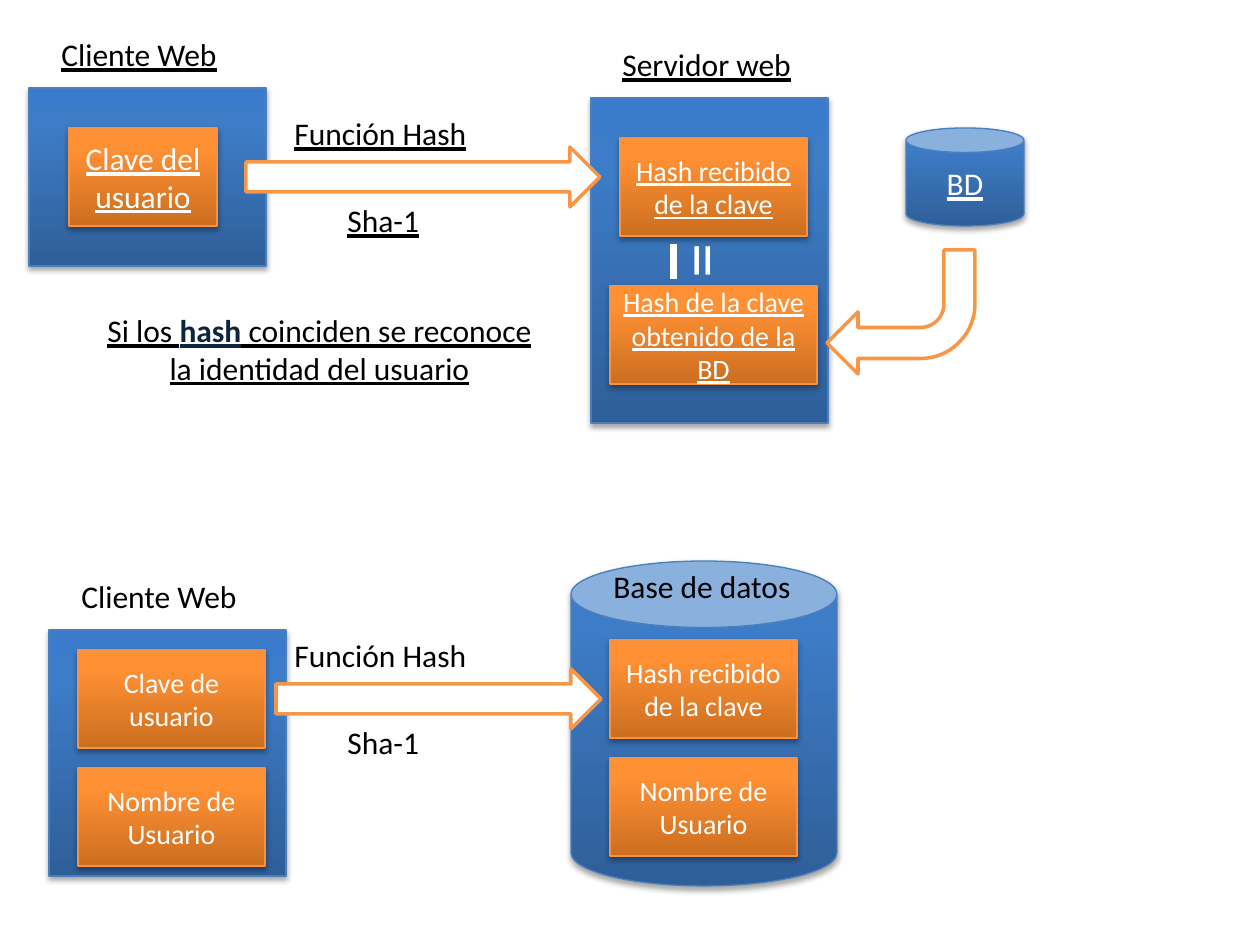
import copy
import pptx
import pptx.util
import pptx.dml.color
import pptx.enum.shapes
import pptx.enum.text
import pptx.oxml
import pptx.oxml.ns

PX = 914400 // 126
SHAPE = pptx.enum.shapes.MSO_SHAPE
ALIGN = pptx.enum.text.PP_ALIGN
FONT = "Calibri"
BLUE = (("2F5F99", "3D7CC7", "3A7CCB"), "4B7EBC")
ORANGE = (("CC6E20", "FF9034", "FF9136"), "F69240")
SHADOW = (
    '<a:outerShdw xmlns:a="http://schemas.openxmlformats.org/drawingml/2006/main" '
    'blurRad="40000" dist="23000" dir="5400000" rotWithShape="0">'
    '<a:srgbClr val="000000"><a:alpha val="35000"/></a:srgbClr></a:outerShdw>'
)


def color(value):
    return pptx.dml.color.RGBColor.from_string(value)


def box(*lengths):
    return [pptx.util.Emu(n * PX) for n in lengths]


def write(tf, text, size=18, fill="000000", underline=False, bold=False, align=None):
    """Add one run to the first paragraph."""
    p = tf.paragraphs[0]
    if align is not None:
        p.alignment = align
    r = p.add_run()
    r.text = text
    r.font.name = FONT
    r.font.size = pptx.util.Pt(size)
    r.font.color.rgb = color(fill)
    r.font.underline = underline
    r.font.bold = bold


def label(shapes, at, text="", wrap=False, rotation=0, **style):
    sp = shapes.add_textbox(*box(*at))
    sp.rotation = rotation
    tf = sp.text_frame
    tf.word_wrap = wrap
    tf.auto_size = pptx.enum.text.MSO_AUTO_SIZE.SHAPE_TO_FIT_TEXT
    if text:
        write(tf, text, **style)
    return tf


def gradient(fill, colors):
    """Fill from bottom to top with stops at 0, 80 and 100 percent."""
    fill.gradient()
    fill.gradient_angle = 90
    first = fill.gradient_stops[0]._gs
    first.addnext(copy.deepcopy(first))
    for stop, value, position in zip(fill.gradient_stops, colors, (0, 0.8, 1)):
        stop.color.rgb = color(value)
        stop.position = position


def block(shapes, kind, at, theme, text="", **style):
    """Shaded shape with a soft shadow and optional centred text."""
    sp = shapes.add_shape(kind, *box(*at))
    colors, edge = theme
    gradient(sp.fill, colors)
    sp.line.color.rgb = color(edge)
    sp.line.width = pptx.util.Pt(0.75)
    sp.shadow.inherit = False
    effects = sp._element.spPr.find(pptx.oxml.ns.qn("a:effectLst"))
    effects.append(pptx.oxml.parse_xml(SHADOW))
    if text:
        tf = sp.text_frame
        tf.word_wrap = True
        tf.vertical_anchor = pptx.enum.text.MSO_ANCHOR.MIDDLE
        write(tf, text, fill="FFFFFF", align=ALIGN.CENTER, **style)


def card(shapes, x, y, text, w=187, size=16, underline=False):
    block(shapes, SHAPE.RECTANGLE, (x, y, w, 98), ORANGE, text,
          size=size, underline=underline)


def arrow(shapes, kind, at, rotation=0, adjustments=()):
    sp = shapes.add_shape(kind, *box(*at))
    sp.rotation = rotation
    for i, value in enumerate(adjustments):
        sp.adjustments[i] = value
    sp.fill.solid()
    sp.fill.fore_color.rgb = color("FFFFFF")
    sp.line.color.rgb = color("F79646")
    sp.line.width = pptx.util.Pt(2)
    sp.shadow.inherit = False


def hash_labels(shapes, y, underline):
    label(shapes, (282, y, 199, 50), "Función Hash", underline=underline)
    label(shapes, (335, y + 87, 98, 50), "Sha-1", underline=underline)


def login(shapes):
    # Client
    client = shapes.add_group_shape().shapes
    block(client, SHAPE.RECTANGLE, (29, 88, 237, 178), BLUE)
    card(client, 69, 128, "Clave del usuario", w=148, size=18, underline=True)
    label(client, (49, 29, 183, 50), "Cliente Web", underline=True)
    hash_labels(shapes, 108, True)

    # Server
    server = shapes.add_group_shape().shapes
    block(server, SHAPE.RECTANGLE, (591, 98, 237, 325), BLUE)
    card(server, 620, 138, "Hash recibido de la clave", underline=True)
    label(server, (610, 39, 197, 50), "Servidor web", underline=True)
    card(shapes, 610, 286, "Hash de la clave obtenido de la BD", w=207, underline=True)

    # Database and comparison
    block(shapes, SHAPE.CAN, (906, 128, 118, 98), BLUE, "BD", underline=True)
    arrow(shapes, SHAPE.BENT_ARROW, (827, 250, 148, 124), 180, (0.25, 0.25, 0.25, 0.44))
    label(shapes, (678, 213, 60, 97), "=", rotation=90, size=40,
          fill="FFFFFF", underline=True)
    arrow(shapes, SHAPE.RIGHT_ARROW, (246, 147, 354, 60))

    # Conclusion
    tf = label(shapes, (88, 305, 463, 89), wrap=True)
    write(tf, "Si los ", underline=True, align=ALIGN.CENTER)
    write(tf, "hash", fill="0F243E", underline=True, bold=True)
    write(tf, " coinciden se reconoce la identidad del usuario", underline=True)


def registration(shapes):
    # Database
    block(shapes, SHAPE.CAN, (571, 561, 266, 325), BLUE)
    card(shapes, 610, 640, "Hash recibido de la clave")
    card(shapes, 610, 758, "Nombre de Usuario")

    # Client
    client = shapes.add_group_shape().shapes
    block(client, SHAPE.RECTANGLE, (49, 630, 237, 246), BLUE)
    card(client, 78, 650, "Clave de usuario")
    label(client, (69, 571, 183, 50), "Cliente Web")
    hash_labels(shapes, 630, False)
    arrow(shapes, SHAPE.RIGHT_ARROW, (276, 669, 325, 60))
    card(shapes, 78, 768, "Nombre de Usuario")
    label(shapes, (601, 561, 204, 50), "Base de datos")


def main():
    prs = pptx.Presentation()
    prs.slide_width, prs.slide_height = box(1260, 945)
    s = prs.slides.add_slide(prs.slide_layouts[6])
    login(s.shapes)
    registration(s.shapes)
    prs.save("out.pptx")


main()
